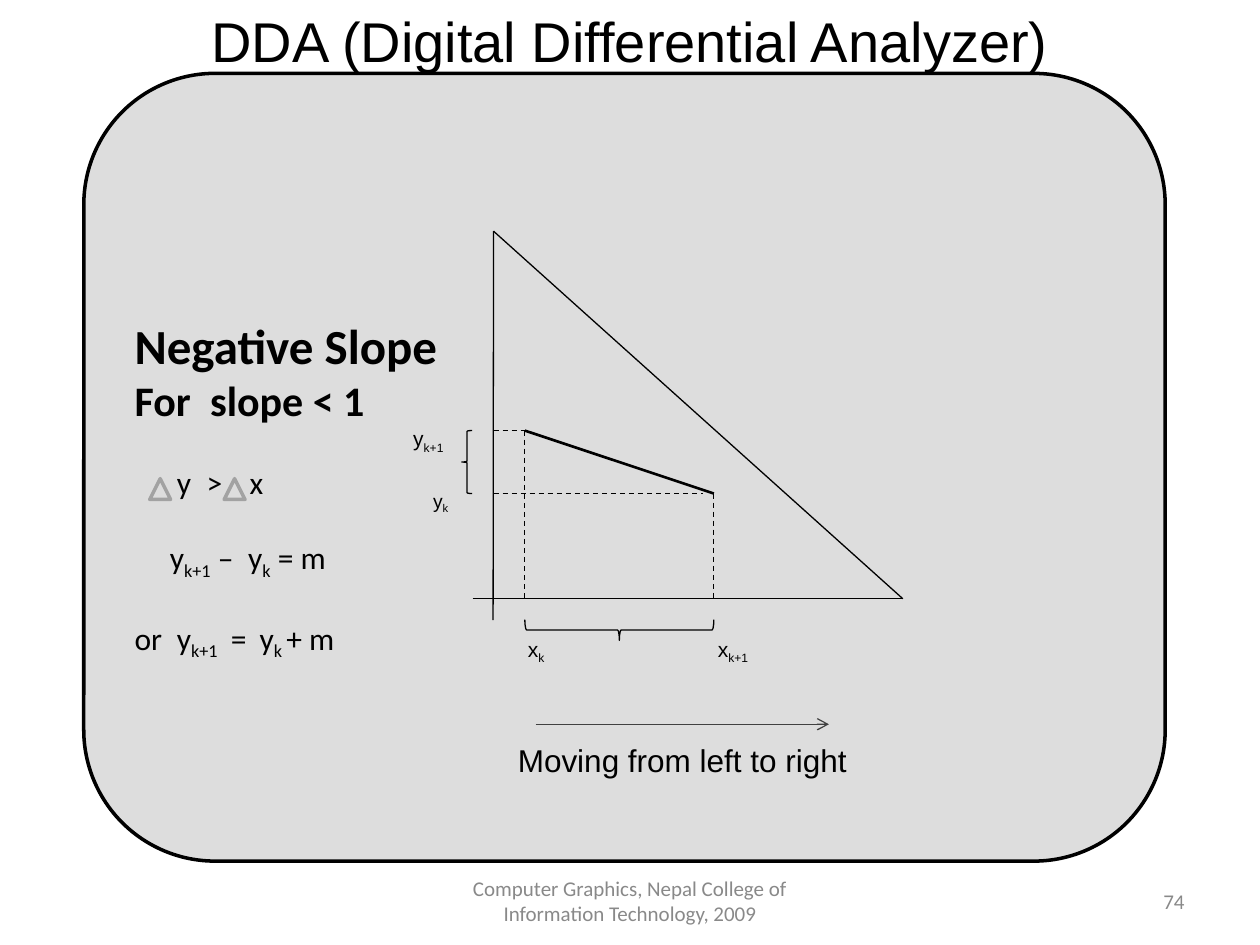
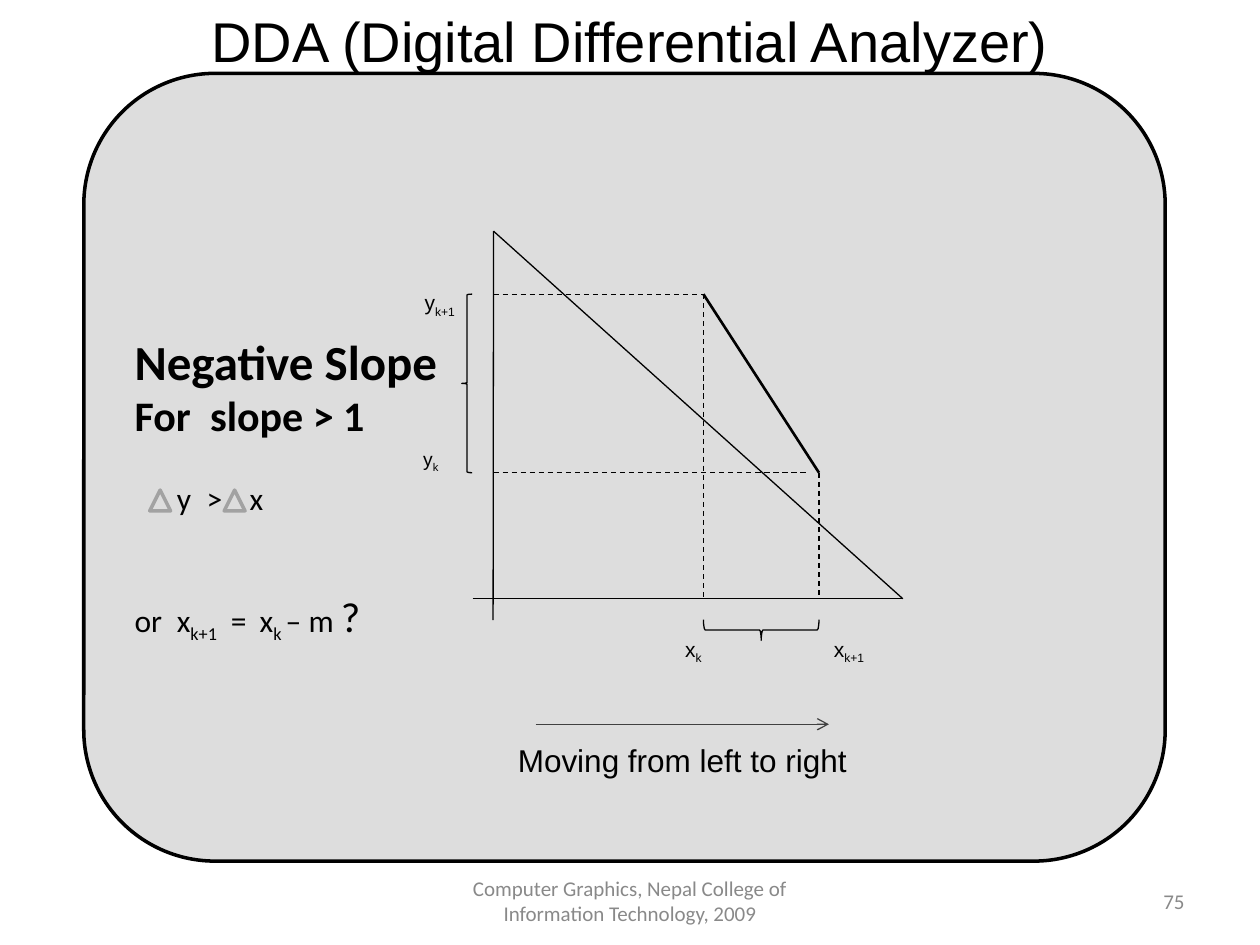
"""Build two slides on the DDA line algorithm for negative slopes."""
from pptx import Presentation
from pptx.dml.color import RGBColor
from pptx.enum import dml, shapes, text
from pptx.oxml.ns import qn
from pptx.util import Cm, Pt
from lxml import etree

BLACK = RGBColor(0, 0, 0)
PANEL = RGBColor(0xDD, 0xDD, 0xDD)
DELTA = RGBColor(0xA2, 0xA2, 0xA2)
ARROW = RGBColor(0x40, 0x40, 0x40)
FOOTER = RGBColor(0x89, 0x89, 0x89)

AXIS_X, BASE_Y = 9.95, 12.07
APEX_Y, FOOT_X = 4.66, 18.2

SLIDES = [
    dict(number="74", inset=4.11, delta_y=9.65, start=(10.58, 8.68), end=(14.39, 9.95),
         labels=[("y|k+1", 8.08, 8.46, 12), ("y|k", 8.48, 9.73, 11),
                 ("x|k", 10.39, 12.7, 12), ("x|k+1", 14.22, 12.7, 12)],
         condition="For\tslope < 1",
         equations=[("\ty|k+1| –\ty|k| = m", 21, [0.71, 2.29], ""),
                    ("or\ty|k+1|\t=\ty|k |+ m", 21.5, [0.85, 1.94, 2.52], "")]),
    dict(number="75", inset=4.42, delta_y=9.88, start=(14.18, 5.93), end=(16.51, 9.53),
         labels=[("y|k+1", 8.31, 5.72, 12), ("y|k", 8.28, 8.89, 11),
                 ("x|k", 13.56, 12.7, 12), ("x|k+1", 16.56, 12.7, 12)],
         condition="For\tslope > 1",
         equations=[("or\tx|k+1|\t=\tx|k |– m ", 42.5, [0.85, 1.94, 2.52], "?")]),
]


def write(p, content, size=18, font="Calibri", color=BLACK, bold=False,
          align=text.PP_ALIGN.LEFT, before=0, tabs=()):
    """Add text to a paragraph; bars switch subscript on and off."""
    p.alignment = align
    p.space_before = Pt(before)
    if tabs:
        stops = etree.SubElement(p._p.get_or_add_pPr(), qn("a:tabLst"))
        for pos in tabs:
            etree.SubElement(stops, qn("a:tab"), pos=str(Cm(pos)), algn="l")
    for i, part in enumerate(content.split("|")):
        if not part:
            continue
        r = p.add_run()
        r.text = part
        r.font.size, r.font.name, r.font.bold = Pt(size), font, bold
        r.font.color.rgb = color
        if i % 2:
            r._r.get_or_add_rPr().set("baseline", "-25000")


def add_line(slide, x1, y1, x2, y2, width=0.75, color=BLACK, dash=False):
    """Draw a straight connector between two points given in cm."""
    c = slide.shapes.add_connector(shapes.MSO_CONNECTOR.STRAIGHT, Cm(x1), Cm(y1), Cm(x2), Cm(y2))
    c.line.width = Pt(width)
    c.line.color.rgb = color
    if dash:
        c.line.dash_style = dml.MSO_LINE.DASH
    etree.SubElement(c._element.spPr, qn("a:effectLst"))
    return c


prs = Presentation()
prs.slide_width, prs.slide_height = Cm(25.4), Cm(19.05)

for s in SLIDES:
    slide = prs.slides.add_slide(prs.slide_layouts[5])
    (x0, y0), (x1, y1) = s["start"], s["end"]

    panel = slide.shapes.add_shape(shapes.MSO_SHAPE.ROUNDED_RECTANGLE,
                                   Cm(1.69), Cm(1.48), Cm(21.8), Cm(15.88))
    deltas = [slide.shapes.add_shape(shapes.MSO_SHAPE.ISOSCELES_TRIANGLE,
                                     Cm(x), Cm(s["delta_y"]), Cm(0.42), Cm(0.42))
              for x in (3.02, 4.52)]
    for sp, color in [(panel, BLACK)] + [(d, DELTA) for d in deltas]:
        sp.shadow.inherit = False
        sp.fill.solid()
        sp.fill.fore_color.rgb = PANEL
        sp.line.color.rgb = color
        sp.line.width = Pt(2)

    tf = panel.text_frame
    tf.word_wrap = True
    tf.vertical_anchor = text.MSO_ANCHOR.TOP
    tf.margin_top = Cm(s["inset"])
    write(tf.paragraphs[0], "Negative Slope", size=28, bold=True)
    write(tf.add_paragraph(), s["condition"], size=24, bold=True, tabs=[1.52])
    write(tf.add_paragraph(), "\ty\t>\tx", before=22, tabs=[0.85, 1.45, 2.32])
    for equation, before, tabs, mark in s["equations"]:
        p = tf.add_paragraph()
        write(p, equation, before=before, tabs=tabs)
        if mark:
            write(p, mark, size=24, before=before)

    for content, x, width, align in [
            ("Computer Graphics, Nepal College of Information Technology, 2009",
             8.68, 8.04, text.PP_ALIGN.CENTER),
            (s["number"], 18.2, 5.93, text.PP_ALIGN.RIGHT)]:
        tf = slide.shapes.add_textbox(Cm(x), Cm(17.65), Cm(width), Cm(1.02)).text_frame
        tf.word_wrap = True
        tf.vertical_anchor = text.MSO_ANCHOR.MIDDLE
        write(tf.paragraphs[0], content, size=12, color=FOOTER, align=align)

    add_line(slide, AXIS_X, APEX_Y, AXIS_X - 0.01, 12.5)
    add_line(slide, 9.53, BASE_Y, FOOT_X, BASE_Y)
    add_line(slide, AXIS_X, APEX_Y, FOOT_X, BASE_Y)
    add_line(slide, x0, y0, x1, y1, width=1.5)
    for guide in [(x0, y0, x0, BASE_Y), (x1, y1, x1, BASE_Y),
                  (AXIS_X, y1, x1 - 0.21, y1), (AXIS_X, y0, x0, y0)]:
        add_line(slide, *guide, dash=True)

    span = x1 - x0
    x_brace = slide.shapes.add_shape(shapes.MSO_SHAPE.RIGHT_BRACE, Cm((x0 + x1) / 2 - 0.21),
                                     Cm(12.7 - span / 2), Cm(0.42), Cm(span))
    x_brace.rotation = 90
    y_brace = slide.shapes.add_shape(shapes.MSO_SHAPE.LEFT_BRACE,
                                     Cm(9.31), Cm(y0), Cm(0.21), Cm(y1 - y0))
    for sp in (x_brace, y_brace):
        sp.shadow.inherit = False
        sp.fill.background()
        sp.line.color.rgb = BLACK
        sp.line.width = Pt(0.75)

    arrow = add_line(slide, 10.8, 14.6, 16.71, 14.6, color=ARROW)
    etree.SubElement(arrow.line._get_or_add_ln(), qn("a:tailEnd"), type="arrow")

    labels = [(label, x, y, 1.15 if "+" in label else 0.9, 0.84, size)
              for label, x, y, size in s["labels"]]
    labels.append(("Moving from left to right", 10.19, 14.81, 7.14, 1.02, 18))
    for label, x, y, width, height, size in labels:
        tf = slide.shapes.add_textbox(Cm(x), Cm(y), Cm(width), Cm(height)).text_frame
        tf.word_wrap = False
        tf.auto_size = text.MSO_AUTO_SIZE.SHAPE_TO_FIT_TEXT
        write(tf.paragraphs[0], label, size=size, font="Arial")

    title = slide.shapes.title
    title.left, title.top, title.width, title.height = Cm(4.01), Cm(0), Cm(17.53), Cm(1.63)
    tf = title.text_frame
    tf.word_wrap = False
    tf.auto_size = text.MSO_AUTO_SIZE.NONE
    tf.vertical_anchor = text.MSO_ANCHOR.TOP
    write(tf.paragraphs[0], "DDA (Digital Differential Analyzer)", size=32, font="Arial")
    slide.shapes._spTree.append(title._element)

prs.save("out.pptx")
